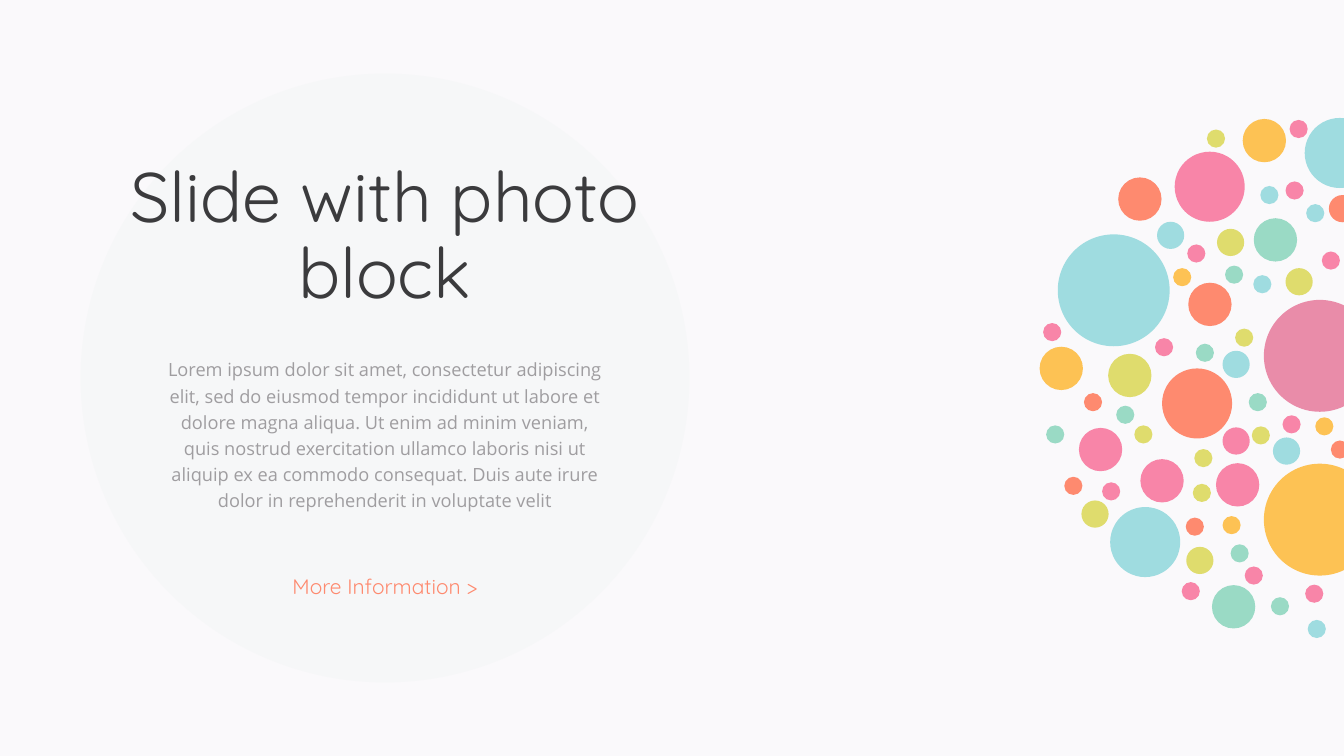
import pptx
import pptx.util
import pptx.dml.color
import pptx.enum.shapes
import pptx.enum.text
import pptx.oxml.ns
import lxml.etree

Inches = pptx.util.Inches
Pt = pptx.util.Pt

COLORS = {
    "background": "FAF9FB", "disc": "F6F7F8", "title": "3B3B3D", "body": "9F9DA0",
    "blue": "9FDCE0", "yellow": "FDC254", "rose": "E98CA9", "pink": "F885A8",
    "orange": "FE8A6F", "green": "9ADAC5", "lime": "DFDC6D",
}
TITLE = "Slide with photo block"
BODY = (
    "Lorem ipsum dolor sit amet, consectetur adipiscing elit, sed do eiusmod tempor "
    "incididunt ut labore et dolore magna aliqua. Ut enim ad minim veniam, quis nostrud "
    "exercitation ullamco laboris nisi ut aliquip ex ea commodo consequat. Duis aute irure "
    "dolor in reprehenderit in voluptate velit"
)
MORE = "More Information >"

# Diameter -> colour -> left and top of every dot
DOTS = {
    2.22: {
        "blue": [(20.99, 4.65)],
        "yellow": [(25.08, 9.2)],
        "rose": [(25.08, 5.95)],
    },
    1.39: {
        "pink": [(23.31, 3.01)],
        "blue": [(25.89, 2.34), (22.03, 10.06)],
        "orange": [(23.06, 7.31)],
    },
    0.86: {
        "orange": [(23.58, 5.61), (22.19, 3.52)],
        "yellow": [(24.66, 2.36), (20.63, 6.88)],
        "green": [(24.88, 4.33), (24.05, 11.61)],
        "pink": [(24.13, 9.19), (22.63, 9.11), (21.41, 8.49)],
        "lime": [(21.99, 7.02)],
    },
    0.54: {
        "orange": [(26.37, 3.87)],
        "lime": [(25.51, 5.32), (24.15, 4.54), (23.54, 10.85), (21.46, 9.93)],
        "blue": [(22.96, 4.4), (24.26, 6.96), (25.26, 8.68)],
        "pink": [(24.26, 8.48)],
    },
    0.36: {
        "pink": [(23.56, 4.85), (26.23, 4.99), (25.45, 8.24), (22.92, 6.71),
                 (20.7, 6.41), (21.87, 9.57), (24.7, 11.24), (25.9, 11.6),
                 (23.45, 11.55), (25.51, 3.6), (25.59, 2.38)],
        "blue": [(24.87, 5.46), (25.01, 3.69), (25.92, 4.05), (25.95, 12.3)],
        "lime": [(24.84, 8.46), (24.51, 6.52), (22.51, 8.44), (23.67, 9.6),
                 (23.7, 8.91), (23.95, 2.57)],
        "green": [(24.78, 7.8), (23.73, 6.82), (20.76, 8.44), (24.42, 10.8),
                  (25.22, 11.85), (22.15, 8.05), (24.31, 5.27)],
        "orange": [(21.51, 7.8), (21.12, 9.46), (23.53, 10.27), (26.41, 8.74)],
        "yellow": [(24.26, 10.24), (26.1, 8.28), (23.28, 5.32)],
    },
}


def rgb(name):
    """Return the named colour."""
    return pptx.dml.color.RGBColor.from_string(COLORS[name])


def add_circle(shapes, left, top, diameter, color):
    """Add a plain filled circle."""
    circle = shapes.add_shape(pptx.enum.shapes.MSO_SHAPE.OVAL, Inches(left), Inches(top),
                              Inches(diameter), Inches(diameter))
    circle.fill.solid()
    circle.fill.fore_color.rgb = rgb(color)
    circle.line.fill.background()
    circle.shadow.inherit = False
    return circle


def set_text(box, text, *, at, size, font, color, spacing=0.9, before=0, anchor="MIDDLE"):
    """Place a text holder and fill it with one centred paragraph."""
    box.left, box.top, box.width, box.height = map(Inches, at)
    frame = box.text_frame
    frame.word_wrap = True
    frame.auto_size = pptx.enum.text.MSO_AUTO_SIZE.SHAPE_TO_FIT_TEXT
    frame.vertical_anchor = pptx.enum.text.MSO_ANCHOR[anchor]
    frame.margin_left = frame.margin_right = Inches(0.06)
    frame.margin_top = frame.margin_bottom = Inches(0.06)
    paragraph = frame.paragraphs[0]
    paragraph.alignment = pptx.enum.text.PP_ALIGN.CENTER
    paragraph.line_spacing = spacing
    paragraph.space_before = Pt(before)
    properties = paragraph._p.get_or_add_pPr()
    properties.set("marL", "0")
    properties.set("indent", "0")
    lxml.etree.SubElement(properties, pptx.oxml.ns.qn("a:buNone"))
    run = paragraph.add_run()
    run.text = text
    run.font.size = Pt(size)
    run.font.name = font
    run.font.color.rgb = rgb(color)


deck = pptx.Presentation()
deck.slide_width, deck.slide_height = Inches(26.67), Inches(15)
slide = deck.slides.add_slide(deck.slide_layouts[1])
slide.background.fill.solid()
slide.background.fill.fore_color.rgb = rgb("background")

disc = add_circle(slide.shapes, 1.6, 1.46, 12.08, "disc")
slide.shapes.title._element.addprevious(disc._element)

set_text(slide.shapes.title, TITLE, at=(2.52, 3.15, 10.23, 3.14),
         size=100, font="Quicksand", color="title")
set_text(slide.placeholders[1], BODY, at=(3.22, 6.97, 8.84, 3.23), size=26,
         font="Open Sans", color="body", spacing=1.2, before=20, anchor="TOP")
more = slide.shapes.add_textbox(0, 0, 0, 0)
set_text(more, MORE, at=(5.63, 11.38, 4.02, 0.57), size=30, font="Quicksand", color="orange")

for diameter, groups in DOTS.items():
    for color, places in groups.items():
        for left, top in places:
            add_circle(slide.shapes, left, top, diameter, color)

deck.save("out.pptx")
